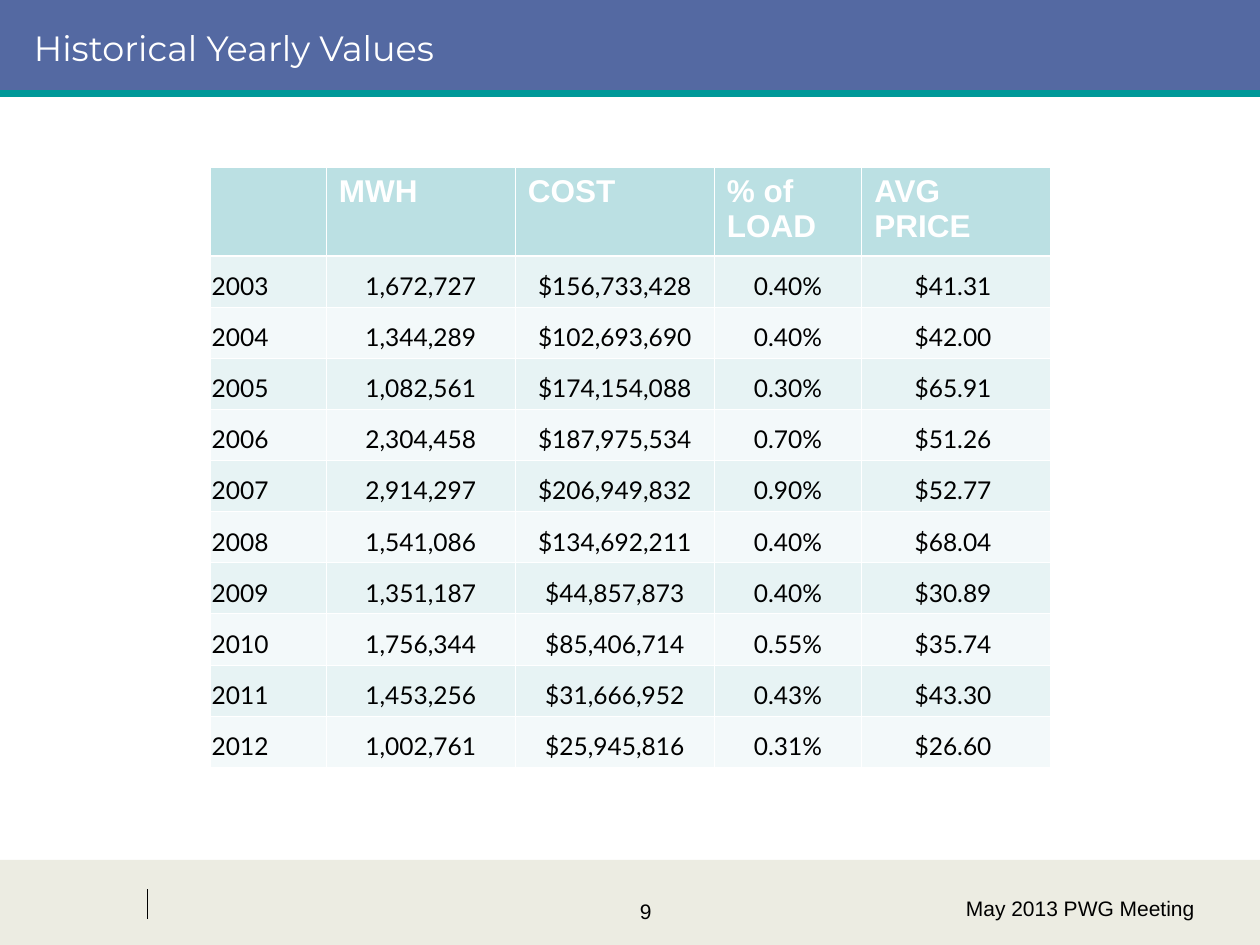
from dataclasses import dataclass

from lxml.etree import SubElement
from pptx import Presentation
from pptx.dml.color import RGBColor
from pptx.enum.shapes import MSO_CONNECTOR as Connector, MSO_SHAPE as Shape
from pptx.enum.text import MSO_ANCHOR as Anchor, PP_ALIGN as Align
from pptx.oxml.ns import qn
from pptx.util import Inches, Pt

WIDTH, HEIGHT = Inches(10), Inches(7.5)
WHITE, BLACK = "FFFFFF", "000000"
HEADER_FILL, BAND_FILLS = "BBE0E3", ("E7F3F4", "F3F9FA")
THIN, THICK = 0.45, 1.47

TABLE_LEFT, TABLE_TOP = Inches(1.67), Inches(1.33)
COLUMN_WIDTHS = (0.92, 1.5, 1.58, 1.17, 1.5)
HEADER_HEIGHT, BODY_HEIGHT = 0.7, 4.06
HEADINGS = ("", "MWH", "COST", "% of LOAD", "AVG PRICE")
YEARS = (
    ("2003", "1,672,727", "$156,733,428", "0.40%", "$41.31 "),
    ("2004", "1,344,289", "$102,693,690", "0.40%", "$42.00 "),
    ("2005", "1,082,561", "$174,154,088", "0.30%", "$65.91 "),
    ("2006", "2,304,458", "$187,975,534", "0.70%", "$51.26 "),
    ("2007", "2,914,297", "$206,949,832", "0.90%", "$52.77 "),
    ("2008", "1,541,086", "$134,692,211", "0.40%", "$68.04 "),
    ("2009", "1,351,187", "$44,857,873", "0.40%", "$30.89 "),
    ("2010", "1,756,344", "$85,406,714", "0.55%", "$35.74 "),
    ("2011", "1,453,256", "$31,666,952", "0.43%", "$43.30 "),
    ("2012", "1,002,761", "$25,945,816", "0.31%", "$26.60 "),
)


@dataclass(frozen=True)
class Band:
    top: float
    height: float
    fill: str


@dataclass(frozen=True)
class Rule:
    start: tuple[float, float]
    end: tuple[float, float]
    color: str
    weight: float


@dataclass(frozen=True)
class TextStyle:
    font: str
    size: float
    color: str
    align: Align = Align.LEFT
    bold: bool = False


@dataclass(frozen=True)
class Label:
    text: str
    left: float
    top: float
    width: float
    height: float
    style: TextStyle
    anchor: Anchor = Anchor.TOP


@dataclass(frozen=True)
class CellStyle:
    fill: str
    text: TextStyle
    anchor: Anchor
    side_margin: float
    top_border: float
    bottom_border: float


BANDS = (Band(0.91, 0.09, "ECECE2"), Band(0, 0.1, "5469A2"))
RULES = (
    Rule((0.117, 0.941), (0.117, 0.973), BLACK, 0.75),
    Rule((0, 0.099), (1, 0.099), "009999", 4.5),
)
LABELS = (
    Label("9", 0.375, 0.944, 0.275, 0.067, TextStyle("Arial", 12, BLACK, Align.CENTER)),
    Label("Historical Yearly Values", 0.017, 0, 0.95, 0.1,
          TextStyle("Montserrat", 20, WHITE), Anchor.MIDDLE),
    Label("May 2013 PWG Meeting", 0.683, 0.941, 0.275, 0.067,
          TextStyle("Arial", 12, BLACK, Align.RIGHT)),
)


def rgb(color: str) -> RGBColor:
    return RGBColor.from_string(color)


def across(share: float) -> int:
    return round(WIDTH * share)


def down(share: float) -> int:
    return round(HEIGHT * share)


def write(para, text: str, style: TextStyle) -> None:
    para.text = text
    para.alignment = style.align
    for font in (para.font, *(span.font for span in para.runs)):
        font.name = style.font
        font.size = Pt(style.size)
        font.bold = style.bold
        font.color.rgb = rgb(style.color)


def draw_band(page, band: Band) -> None:
    box = page.shapes.add_shape(
        Shape.RECTANGLE, 0, down(band.top), WIDTH, down(band.height))
    box.shadow.inherit = False
    box.fill.solid()
    box.fill.fore_color.rgb = rgb(band.fill)
    box.line.fill.background()


def draw_rule(page, rule: Rule) -> None:
    line = page.shapes.add_connector(
        Connector.STRAIGHT, across(rule.start[0]), down(rule.start[1]),
        across(rule.end[0]), down(rule.end[1]))
    line.line.color.rgb = rgb(rule.color)
    line.line.width = Pt(rule.weight)
    SubElement(line._element.spPr, qn("a:effectLst"))


def draw_label(page, label: Label) -> None:
    box = page.shapes.add_textbox(
        across(label.left), down(label.top), across(label.width), down(label.height))
    frame = box.text_frame
    frame.word_wrap = True
    frame.vertical_anchor = label.anchor
    write(frame.paragraphs[0], label.text, label.style)


def add_borders(cell, top: float, bottom: float) -> None:
    properties = cell._tc.get_or_add_tcPr()
    weights = {"lnL": THIN, "lnR": THIN, "lnT": top, "lnB": bottom}
    for side, weight in weights.items():
        line = SubElement(properties, qn(f"a:{side}"), w=str(Pt(weight)))
        SubElement(SubElement(line, qn("a:solidFill")), qn("a:srgbClr"), val=WHITE)


def fill_cell(cell, text: str, style: CellStyle) -> None:
    add_borders(cell, style.top_border, style.bottom_border)
    cell.fill.solid()
    cell.fill.fore_color.rgb = rgb(style.fill)
    cell.vertical_anchor = style.anchor
    cell.margin_left = cell.margin_right = Inches(style.side_margin)
    cell.margin_top = cell.margin_bottom = Inches(0.05)
    write(cell.text_frame.paragraphs[0], text, style.text)


def cell_style(row: int, column: int) -> CellStyle:
    if row == 0:
        heading = TextStyle("Arial", 18, WHITE, bold=True)
        return CellStyle(HEADER_FILL, heading, Anchor.TOP, 0.1, THIN, THICK)
    align = Align.CENTER if column else Align.LEFT
    return CellStyle(
        BAND_FILLS[(row - 1) % 2], TextStyle("Lato", 14, BLACK, align),
        Anchor.BOTTOM, 0.01, THICK if row == 1 else THIN, THIN)


def draw_table(page) -> None:
    rows = (HEADINGS, *YEARS)
    table = page.shapes.add_table(
        len(rows), len(HEADINGS), TABLE_LEFT, TABLE_TOP,
        Inches(sum(COLUMN_WIDTHS)), Inches(HEADER_HEIGHT + BODY_HEIGHT)).table
    for column, width in zip(table.columns, COLUMN_WIDTHS):
        column.width = Inches(width)
    for row, values in enumerate(rows):
        table.rows[row].height = Inches(BODY_HEIGHT / len(YEARS) if row else HEADER_HEIGHT)
        for column, text in enumerate(values):
            fill_cell(table.cell(row, column), text, cell_style(row, column))


def main() -> None:
    deck = Presentation()
    deck.slide_width, deck.slide_height = WIDTH, HEIGHT
    page = deck.slides.add_slide(deck.slide_layouts[6])
    for band in BANDS:
        draw_band(page, band)
    for rule in RULES:
        draw_rule(page, rule)
    for label in LABELS:
        draw_label(page, label)
    draw_table(page)
    deck.save("out.pptx")


if __name__ == "__main__":
    main()
